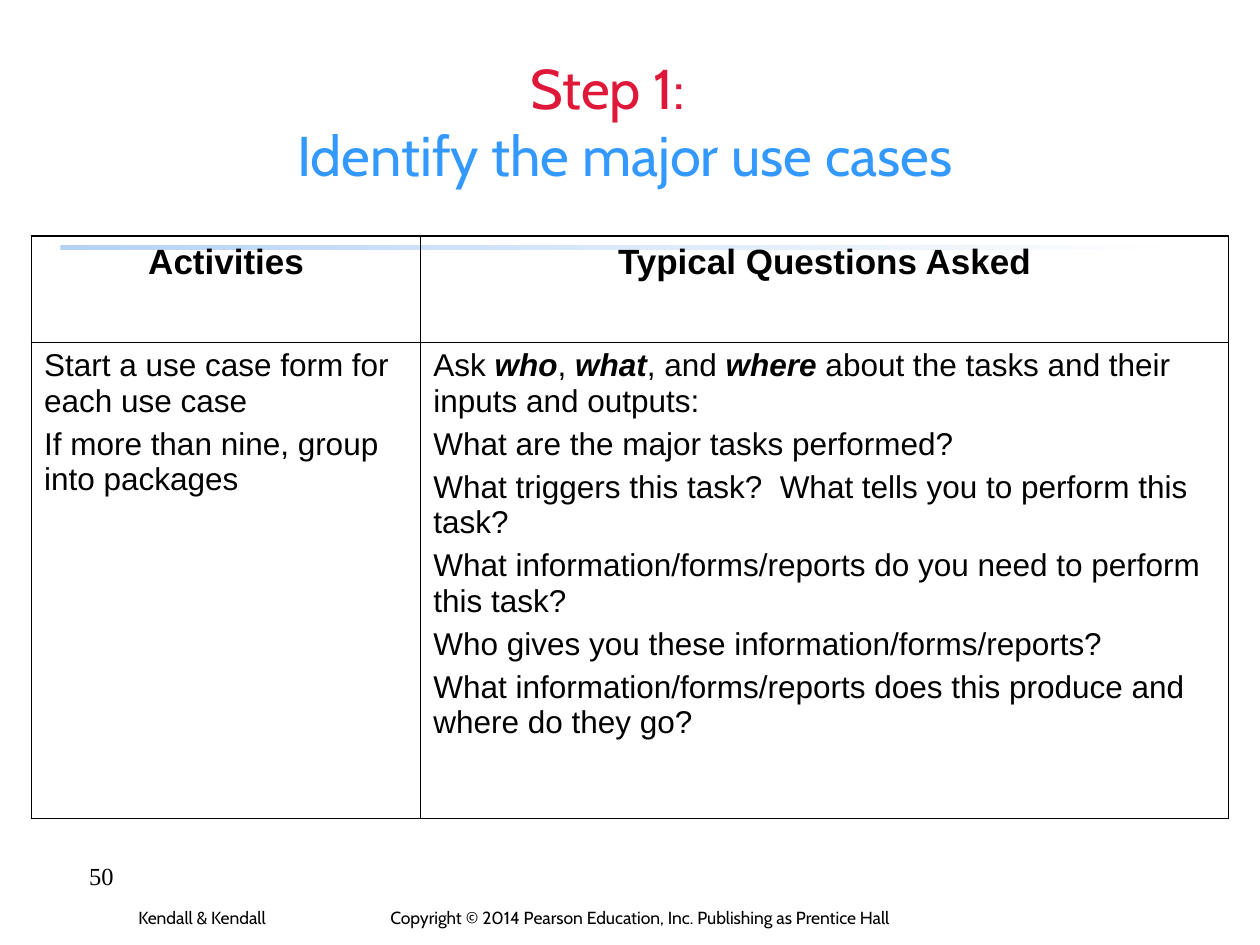
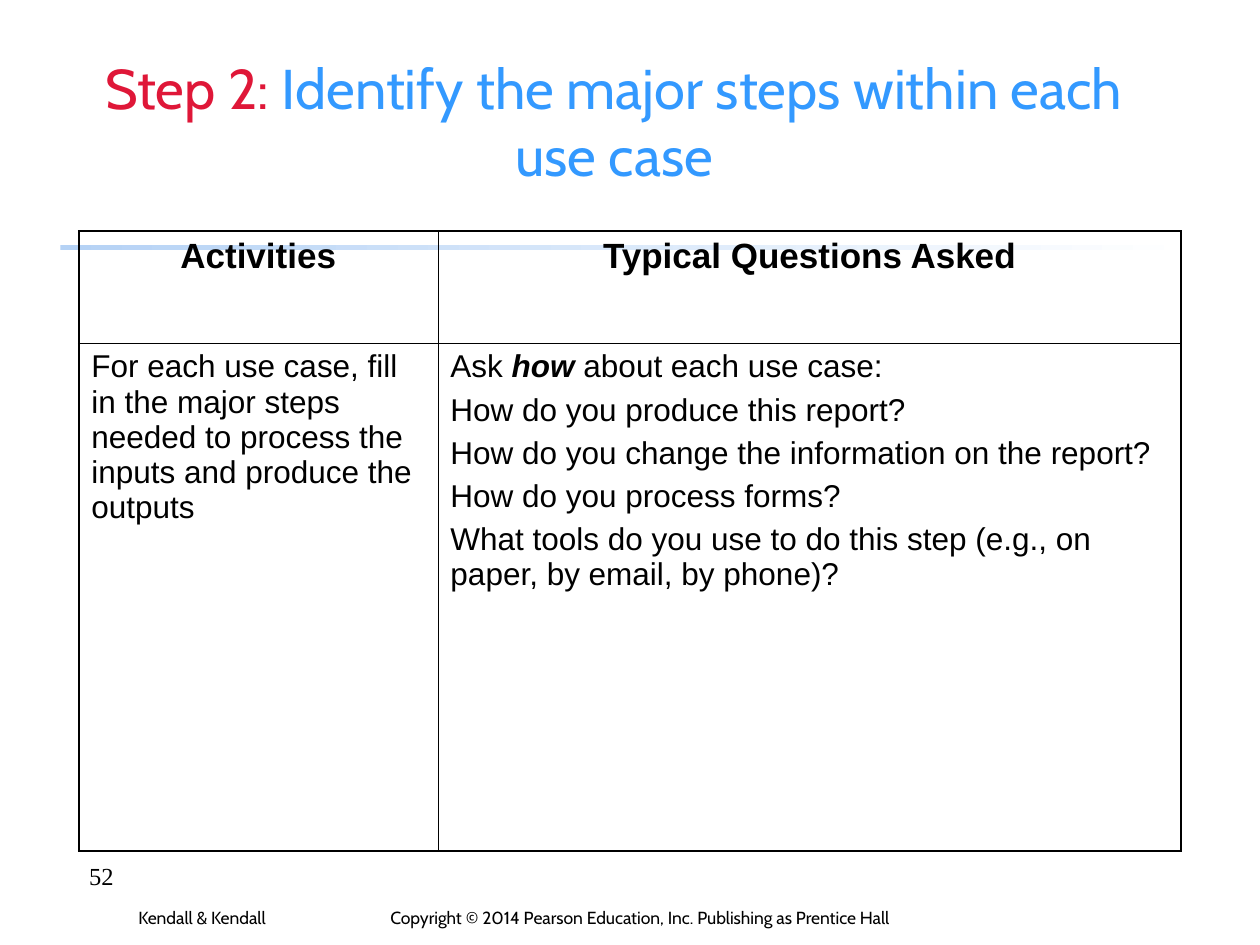
from dataclasses import dataclass

from lxml import etree
from pptx import Presentation
from pptx.dml.color import RGBColor
from pptx.enum.shapes import MSO_SHAPE
from pptx.enum.text import MSO_ANCHOR, MSO_AUTO_SIZE, PP_ALIGN
from pptx.oxml.ns import qn
from pptx.slide import Slide
from pptx.table import Table, _Cell
from pptx.text.text import TextFrame
from pptx.util import Emu, Inches, Pt

RECTANGLE = MSO_SHAPE.RECTANGLE
LEFT, CENTER, RIGHT = PP_ALIGN.LEFT, PP_ALIGN.CENTER, PP_ALIGN.RIGHT
TOP, MIDDLE, BOTTOM = MSO_ANCHOR.TOP, MSO_ANCHOR.MIDDLE, MSO_ANCHOR.BOTTOM
NO_AUTO_SIZE = MSO_AUTO_SIZE.NONE

SLIDE_WIDTH, SLIDE_HEIGHT = Inches(10), Inches(7.5)
GRID_COLUMNS, GRID_ROWS = 40, 30
TITLE_ONLY_LAYOUT = 5

BLACK, RED, BLUE = "000000", "DF1738", "3399FF"
BAND_START, BAND_END = "B5D2F5", "FFFFFF"
TITLE_FONT, BODY_FONT, NUMBER_FONT = "Cabin", "Arial", "Times New Roman"
OUTER_BORDER, INNER_BORDER = 1.08, 0.45

HEADERS = ["Activities", "Typical Questions Asked"]
FOOTER = "Kendall & Kendall\tCopyright © 2014 Pearson Education, Inc. Publishing as Prentice Hall"
FOOTER_TAB = 8


@dataclass(frozen=True)
class Area:
    """A rectangle in grid columns and rows."""
    left: float
    top: float
    width: float
    height: float

    def lengths(self) -> tuple[Emu, Emu, Emu, Emu]:
        return across(self.left), down(self.top), across(self.width), down(self.height)


@dataclass(frozen=True)
class Step:
    """One slide; asterisks in the text enclose bold italic words."""
    number: str
    label: str
    title: str
    hanging: float
    left: float
    top: float
    widths: tuple[float, float]
    heights: tuple[float, float]
    activities: list[str]
    questions: list[str]


TITLE_AREA = Area(2.5, 1.33, 34, 5)
BAND_AREA = Area(1.92, 7.78, 36, 0.16)
FOOTER_AREA = Area(4, 27.67, 26.33, 2)
NUMBER_AREA = Area(0.67, 27.33, 3.33, 2)

STEPS = [
    Step(
        "50", "Step 1: \n", "Identify the major use cases", 0.7,
        1, 7.5, (12.36, 25.64), (3.36, 15.12),
        ["Start a use case form for each use case",
         "If more than nine, group into packages"],
        ["Ask *who*, *what*, and *where* about the tasks and their inputs and outputs:",
         "What are the major tasks performed?",
         "What triggers this task?  What tells you to perform this task?",
         "What information/forms/reports do you need to perform this task?",
         "Who gives you these information/forms/reports?",
         "What information/forms/reports does this produce and where do they go?"],
    ),
    Step(
        "52", "Step 2: ", "Identify the major steps within each use case", 0,
        2.5, 7.33, (11.4, 23.6), (3.56, 16.12),
        ["For each use case, fill in the major steps needed to process the inputs "
         "and produce the outputs"],
        ["Ask *how* about each use case:",
         "How do you produce this report?",
         "How do you change the information on the report?",
         "How do you process forms?",
         "What tools do you use to do this step (e.g., on paper, by email, by phone)?"],
    ),
]


def across(columns: float) -> Emu:
    return Emu(round(SLIDE_WIDTH * columns / GRID_COLUMNS))


def down(rows: float) -> Emu:
    return Emu(round(SLIDE_HEIGHT * rows / GRID_ROWS))


def rgb(color: str) -> RGBColor:
    return RGBColor.from_string(color)


def write(frame: TextFrame, paragraphs: list[str], *, font: str, size: float,
          color: str = BLACK, bold: bool = False, align: PP_ALIGN = LEFT,
          gap: float = 0) -> None:
    """Fill the frame, with the gap in points between paragraphs."""
    for index, text in enumerate(paragraphs):
        paragraph = frame.add_paragraph() if index else frame.paragraphs[0]
        paragraph.alignment = align
        paragraph.space_before = Pt(gap if index else 0)
        for part, words in enumerate(text.split("*")):
            emphasized = part % 2 == 1
            run = paragraph.add_run()
            run.text = words
            run.font.name, run.font.size = font, Pt(size)
            run.font.color.rgb = rgb(color)
            run.font.bold, run.font.italic = bold or emphasized, emphasized


def add_title(slide: Slide, step: Step) -> None:
    title = slide.shapes.title
    title.left, title.top, title.width, title.height = TITLE_AREA.lengths()
    frame = title.text_frame
    frame.auto_size, frame.vertical_anchor = NO_AUTO_SIZE, MIDDLE
    paragraph = frame.paragraphs[0]
    paragraph.alignment = CENTER
    if step.hanging:
        properties = paragraph._p.get_or_add_pPr()
        properties.set("marL", str(across(step.hanging)))
        properties.set("indent", str(-across(step.hanging)))
    for text, color in ((step.label, RED), (step.title, BLUE)):
        run = paragraph.add_run()
        run.text = text.rstrip("\n")
        run.font.name, run.font.size = TITLE_FONT, Pt(32)
        run.font.color.rgb = rgb(color)
        if text.endswith("\n"):
            paragraph.add_line_break()


def add_band(slide: Slide) -> None:
    band = slide.shapes.add_shape(RECTANGLE, *BAND_AREA.lengths())
    band.shadow.inherit = False
    band.line.fill.background()
    band.fill.gradient()
    band.fill.gradient_angle = 0
    for stop, color in zip(band.fill.gradient_stops, (BAND_START, BAND_END)):
        stop.color.rgb = rgb(color)


def add_text_frame(slide: Slide, area: Area, anchor: MSO_ANCHOR) -> TextFrame:
    frame = slide.shapes.add_textbox(*area.lengths()).text_frame
    frame.word_wrap, frame.vertical_anchor = True, anchor
    return frame


def add_footer(slide: Slide, number: str) -> None:
    frame = add_text_frame(slide, FOOTER_AREA, BOTTOM)
    tabs = etree.SubElement(frame.paragraphs[0]._p.get_or_add_pPr(), qn("a:tabLst"))
    etree.SubElement(tabs, qn("a:tab"), pos=str(across(FOOTER_TAB)), algn="l")
    write(frame, [FOOTER], font=TITLE_FONT, size=10)

    frame = add_text_frame(slide, NUMBER_AREA, TOP)
    frame.margin_top = 0
    write(frame, [number], font=NUMBER_FONT, size=14, align=RIGHT)


def set_borders(cell: _Cell, outer_sides: dict[str, bool]) -> None:
    properties = cell._tc.get_or_add_tcPr()
    for index, (side, outer) in enumerate(outer_sides.items()):
        width = Pt(OUTER_BORDER if outer else INNER_BORDER)
        line = etree.Element(qn(f"a:{side}"), w=str(width))
        fill = etree.SubElement(line, qn("a:solidFill"))
        etree.SubElement(fill, qn("a:srgbClr"), val=BLACK)
        properties.insert(index, line)


def format_cell(table: Table, row: int, column: int) -> TextFrame:
    """Clear the cell's fill, draw its borders and return its text frame."""
    cell = table.cell(row, column)
    cell.fill.background()
    set_borders(cell, {"lnL": column == 0, "lnR": column == 1,
                       "lnT": row == 0, "lnB": row == 1})
    return cell.text_frame


def add_step_table(slide: Slide, step: Step) -> None:
    area = Area(step.left, step.top, sum(step.widths), sum(step.heights))
    table = slide.shapes.add_table(2, 2, *area.lengths()).table
    table.first_row = table.horz_banding = False
    for row, height in zip(table.rows, step.heights):
        row.height = down(height)
    bodies = (step.activities, step.questions)
    for column, (header, body) in enumerate(zip(HEADERS, bodies)):
        table.columns[column].width = across(step.widths[column])
        write(format_cell(table, 0, column), [header], font=BODY_FONT, size=20,
              bold=True, align=CENTER)
        write(format_cell(table, 1, column), body, font=BODY_FONT, size=18, gap=4.5)


def main() -> None:
    presentation = Presentation()
    presentation.slide_width, presentation.slide_height = SLIDE_WIDTH, SLIDE_HEIGHT
    for step in STEPS:
        slide = presentation.slides.add_slide(presentation.slide_layouts[TITLE_ONLY_LAYOUT])
        add_band(slide)
        add_footer(slide, step.number)
        add_title(slide, step)
        add_step_table(slide, step)
    presentation.save("out.pptx")


if __name__ == "__main__":
    main()
